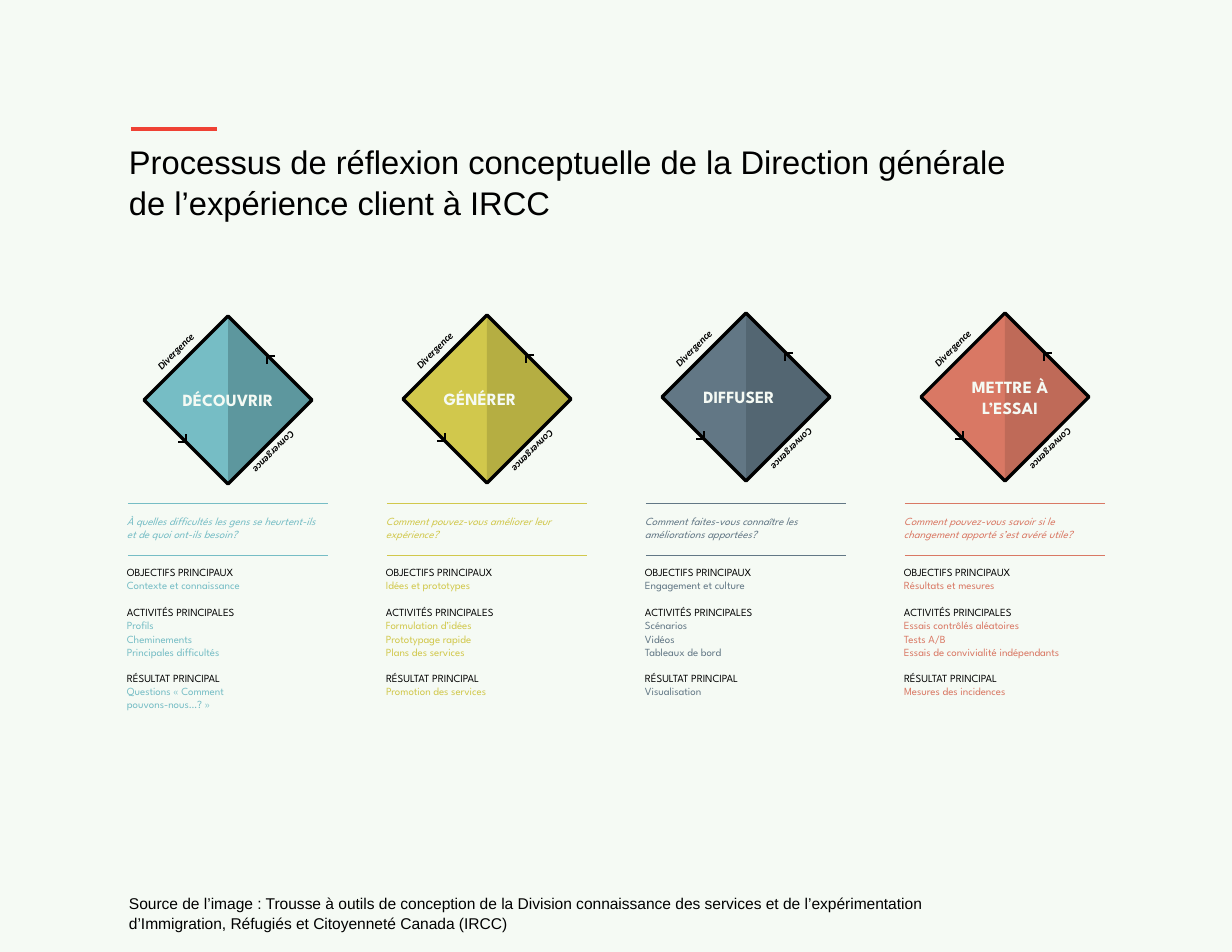
from dataclasses import dataclass

from lxml.etree import SubElement
from pptx import Presentation
from pptx.dml.color import RGBColor
from pptx.enum.shapes import MSO_CONNECTOR, MSO_SHAPE
from pptx.enum.text import MSO_ANCHOR, MSO_AUTO_SIZE, PP_ALIGN
from pptx.oxml.ns import qn
from pptx.util import Pt

PX = 914400 // 112
COLORS = {
    "paper": "F5FAF4", "ink": "000000", "accent": "EF4134",
    "teal": "76BDC5", "teal_dark": "5D979E",
    "yellow": "D1C84C", "yellow_dark": "B5AE42",
    "slate": "627785", "slate_dark": "536672",
    "coral": "D97864", "coral_dark": "BF6A58",
}
HEADINGS = ["OBJECTIFS PRINCIPAUX", "ACTIVITÉS PRINCIPALES", "RÉSULTAT PRINCIPAL"]
SECTION_BOXES = [(439, 180, 27), (479, 200, 54), (545, 134, 40)]  # top, width, height


@dataclass
class Phase:
    name: str
    color: str
    question: str
    sections: list
    diamond_drop: int = 0
    name_shift: int = 0


PHASES = [
    Phase("DÉCOUVRIR", "teal",
          "À quelles difficultés les gens se heurtent-ils et de quoi ont-ils besoin?",
          [["Contexte et connaissance"],
           ["Profils", "Cheminements", "Principales difficultés"],
           ["Questions «\u00a0Comment pouvons-nous…?\u00a0»"]],
          diamond_drop=3),
    Phase("GÉNÉRER", "yellow",
          "Comment pouvez-vous améliorer leur expérience?",
          [["Idées et prototypes"],
           ["Formulation d’idées", "Prototypage rapide", "Plans des services"],
           ["Promotion des services"]],
          diamond_drop=2, name_shift=-7),
    Phase("DIFFUSER", "slate",
          "Comment faites-vous connaître les améliorations apportées?",
          [["Engagement et culture"],
           ["Scénarios", "Vidéos", "Tableaux de bord"],
           ["Visualisation"]],
          name_shift=-7),
    Phase("METTRE À\vL’ESSAI", "coral",
          "Comment pouvez-vous savoir si le changement apporté s’est avéré utile?",
          [["Résultats et mesures"],
           ["Essais contrôlés aléatoires", "Tests A/B", "Essais de convivialité indépendants"],
           ["Mesures des incidences"]],
          name_shift=5),
]


def rgb(name):
    return RGBColor.from_string(COLORS[name])


def place(shape, left, top, width, height):
    shape.left, shape.top = left * PX, top * PX
    shape.width, shape.height = width * PX, height * PX


def write(shape, lines, size, font_name, align=PP_ALIGN.LEFT, anchor=MSO_ANCHOR.TOP,
          bold=False, italic=False, spacing=None):
    """Fill a shape with (text, colour) lines, one paragraph each."""
    frame = shape.text_frame
    frame.word_wrap = True
    frame.auto_size = MSO_AUTO_SIZE.NONE
    frame.vertical_anchor = anchor
    frame.margin_left = frame.margin_right = frame.margin_top = frame.margin_bottom = 0
    for index, (text, color) in enumerate(lines):
        paragraph = frame.add_paragraph() if index else frame.paragraphs[0]
        paragraph.text = text
        paragraph.alignment = align
        paragraph.line_spacing = spacing
        font = paragraph.font
        font.size, font.name = Pt(size), font_name
        font.bold, font.italic = bold, italic
        font.color.rgb = rgb(color)


def add_text(slide, box, lines, size, font_name="League Spartan", **options):
    shape = slide.shapes.add_textbox(*(length * PX for length in box))
    write(shape, lines, size, font_name, **options)
    return shape


def add_rule(slide, left, top, width, color, weight):
    rule = slide.shapes.add_connector(
        MSO_CONNECTOR.STRAIGHT, left * PX, top * PX, (left + width) * PX, top * PX)
    rule.line.color.rgb = rgb(color)
    rule.line.width = Pt(weight)
    SubElement(rule._element.spPr, qn("a:effectLst"))


def paint(shape, fill=None, line=None, weight=0):
    shape.shadow.inherit = False
    if fill:
        shape.fill.solid()
        shape.fill.fore_color.rgb = rgb(fill)
    else:
        shape.fill.background()
    if line:
        shape.line.color.rgb = rgb(line)
        shape.line.width = Pt(weight)
    else:
        shape.line.fill.background()


def add_outline(slide, points, close):
    builder = slide.shapes.build_freeform(*points[0], scale=PX)
    builder.add_line_segments(points[1:], close=close)
    return builder.convert_to_shape()


def add_diamond(slide, center_x, center_y, phase):
    """Two-tone diamond with its name, corner arrows and slanted labels."""
    radius = 84
    box = [length * PX for length in
           (center_x - radius, center_y - radius, 2 * radius, 2 * radius)]
    paint(slide.shapes.add_shape(MSO_SHAPE.DIAMOND, *box), fill=phase.color)
    half = [(center_x, center_y - radius), (center_x + radius, center_y),
            (center_x, center_y + radius)]
    paint(add_outline(slide, half, close=True), fill=phase.color + "_dark")
    paint(slide.shapes.add_shape(MSO_SHAPE.DIAMOND, *box), line="ink", weight=2.14)

    for shift_x, shift_y, arm in [(39, -44, 8), (-42, 42, -8)]:
        x, y = center_x + shift_x, center_y + shift_y
        arrow = add_outline(slide, [(x + arm, y), (x, y), (x, y + arm)], close=False)
        paint(arrow, line="ink", weight=1.61)

    for text, shift_x, shift_y, width, rotation in [
            ("Divergence", -50, -50, 52, 315), ("Convergence", 41, 56, 65, 135)]:
        label_box = (center_x + shift_x - width // 2, center_y + shift_y - 5, width, 10)
        label = add_text(slide, label_box, [(text, "ink")], 6.5, "Calibri",
                         bold=True, italic=True, spacing=Pt(6.5))
        label.rotation = rotation

    name_box = (center_x + phase.name_shift - 60, center_y - 21, 120, 42)
    add_text(slide, name_box, [(phase.name, "paper")], 11, bold=True,
             align=PP_ALIGN.CENTER, anchor=MSO_ANCHOR.MIDDLE)


def add_phase(slide, left, top, phase):
    add_diamond(slide, left + 101, top + 270 + phase.diamond_drop, phase)
    for rule_top in (376, 428):
        add_rule(slide, left + 1, top + rule_top, 200, phase.color, 0.59)
    add_text(slide, (left, top + 387, 195, 26), [(phase.question, phase.color)], 7,
             italic=True, spacing=1.02)
    for heading, items, (row, width, height) in zip(HEADINGS, phase.sections, SECTION_BOXES):
        lines = [(heading, "ink")] + [(item, phase.color) for item in items]
        add_text(slide, (left, top + row, width, height), lines, 7)


def add_header(slide, left, top):
    add_rule(slide, left + 2, top, 86, "accent", 2)
    title = slide.shapes.title
    place(title, left, top + 10, 889, 80)
    write(title, [("Processus de réflexion conceptuelle de la Direction générale "
                   "de l’expérience client à IRCC", "ink")], 21, "Arial", spacing=1.06)


def add_source(slide, left, top):
    text = ("Source de l’image\u00a0: Trousse à outils de conception de la Division "
            "connaissance des services et de l’expérimentation d’Immigration, "
            "Réfugiés et Citoyenneté\u00a0Canada (IRCC)")
    add_text(slide, (left, top, 862, 38), [(text, "ink")], 10, "Arial", spacing=1.06)


def main():
    presentation = Presentation()
    presentation.slide_width, presentation.slide_height = 1232 * PX, 952 * PX
    slide = presentation.slides.add_slide(presentation.slide_layouts[5])
    slide.background.fill.solid()
    slide.background.fill.fore_color.rgb = rgb("paper")
    add_header(slide, 129, 129)
    for index, phase in enumerate(PHASES):
        add_phase(slide, 127 + 259 * index, 127, phase)
    add_source(slide, 129, 893)
    presentation.save("out.pptx")


if __name__ == "__main__":
    main()
